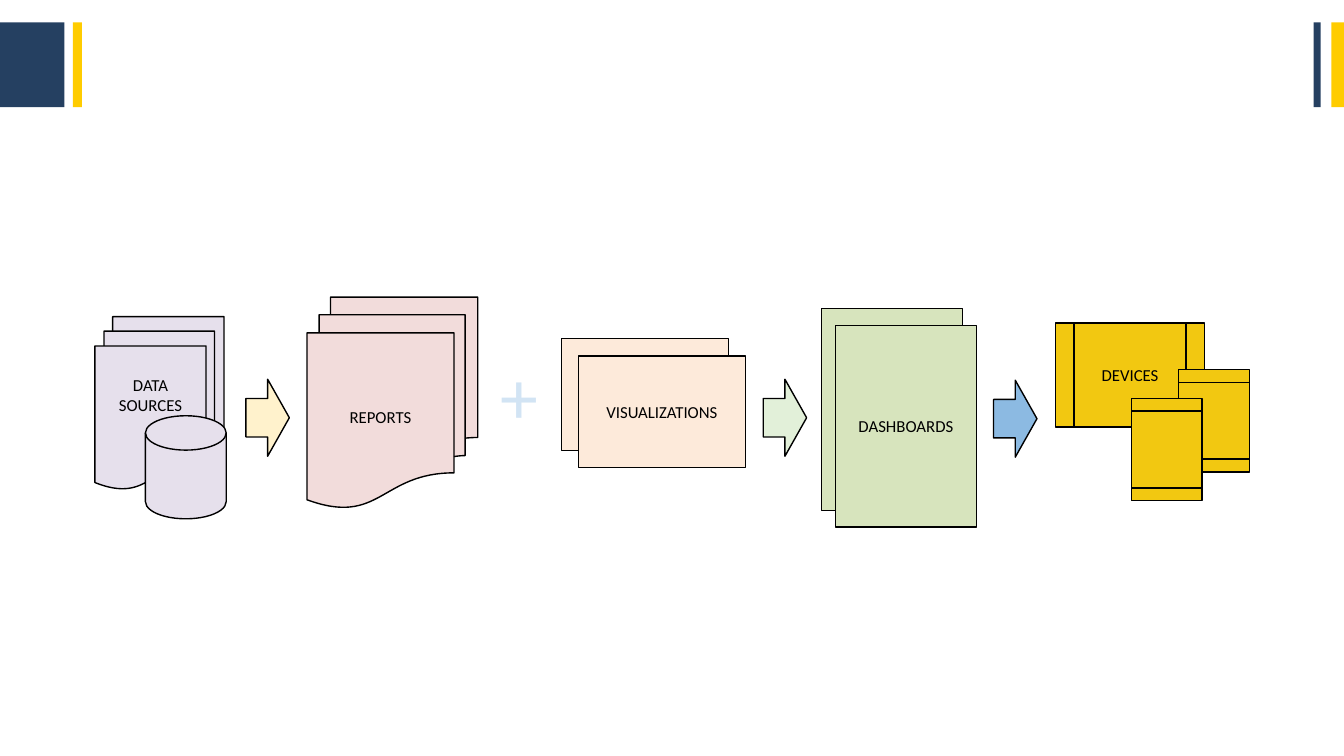
from pptx import Presentation
from pptx.dml.color import RGBColor as Rgb
from pptx.enum.shapes import MSO_SHAPE as Kind
from pptx.enum.text import MSO_ANCHOR as Anchor, MSO_AUTO_SIZE as Fit, PP_ALIGN as Align
from pptx.util import Pt

COLORS = {
    "navy": "254061", "yellow": "FFCC00", "black": "000000", "white": "FFFFFF",
    "lilac": "E6E0EC", "rose": "F2DCDB", "peach": "FDEADA", "lime": "D7E4BD",
    "gold": "F2C811", "blue": "8CBAE2", "cream": "FFF2CC", "mint": "E2F0D9",
    "sky": "D2E4F4",
}
SIZE = (960, 540)
BARS = [
    (0, 46, "navy"),
    (52, 6.5, "yellow"),
    (951, 9, "yellow"),
    (938.4, 5, "navy"),
]
BAR_TOP, BAR_TALL = 16, 60.6

DOCS, DISK = Kind.FLOWCHART_MULTIDOCUMENT, Kind.FLOWCHART_MAGNETIC_DISK
RECT, PANEL = Kind.RECTANGLE, Kind.FLOWCHART_PREDEFINED_PROCESS
SOURCES = [
    (DOCS, (67.8, 226.2, 92.2, 123.2), "lilac", "DATA SOURCES"),
    (DISK, (103.9, 297, 57.7, 73.6), "lilac", ""),
]
REPORTS = (DOCS, (219.3, 212.2, 122, 150.5), "rose", "REPORTS")
PAIRS = [
    ((400.9, 242, 119.5, 79.8), (12.2, 12.2), "peach", "VISUALIZATIONS"),
    ((587, 220.5, 100.7, 144.2), (9.8, 11.8), "lime", "DASHBOARDS"),
]
DEVICES = (PANEL, (753.8, 230.7, 106.8, 74.2), "gold", "DEVICES")
PHONES = [(867.2, 300.5), (833.4, 321.1)]
PHONE = (73.2, 50.6)
ARROWS = [(175.7, 270.9, "cream"), (545.2, 270.9, "mint"), (709.7, 271.6, "blue")]
ARROW = (31, 55)
PLUS = (344.9, 245.5, 51.8, 72.7)

deck = Presentation()
deck.slide_width, deck.slide_height = map(Pt, SIZE)
slide = deck.slides.add_slide(deck.slide_layouts[6])


def paint(name):
    return Rgb.from_string(COLORS[name])


def write(shape, text, size=12, color="black", anchor=Anchor.MIDDLE, wrap=True):
    frame = shape.text_frame
    frame.word_wrap = wrap
    frame.vertical_anchor = anchor
    para = frame.paragraphs[0]
    para.alignment = Align.CENTER
    run = para.add_run()
    run.text = text
    run.font.name = "Calibri"
    run.font.size = Pt(size)
    run.font.color.rgb = paint(color)


def draw(home, kind, box, fill, text="", edge=True, turn=0):
    shape = home.add_shape(kind, *map(Pt, box))
    shape.shadow.inherit = False
    shape.rotation = turn
    shape.fill.solid()
    shape.fill.fore_color.rgb = paint(fill)
    if edge:
        shape.line.color.rgb = paint("black")
        shape.line.width = Pt(1)
    else:
        shape.line.fill.background()
    if text:
        write(shape, text)
    return shape


def group():
    return slide.shapes.add_group_shape().shapes


for left, wide, fill in BARS:
    draw(slide.shapes, RECT, (left, BAR_TOP, wide, BAR_TALL), fill, edge=False)

home = group()
papers, disk = [draw(home, *part) for part in SOURCES]
papers.text_frame.margin_bottom = Pt(31)

draw(slide.shapes, *REPORTS)

for (left, top, wide, tall), (right, down), fill, text in PAIRS:
    home = group()
    draw(home, RECT, (left, top, wide, tall), fill)
    draw(home, RECT, (left + right, top + down, wide, tall), fill, text)

home = group()
draw(home, *DEVICES)
for mid, center in PHONES:
    wide, tall = PHONE
    draw(home, PANEL, (mid - wide / 2, center - tall / 2, wide, tall), "gold", turn=90)

for left, top, fill in ARROWS:
    draw(slide.shapes, Kind.RIGHT_ARROW, (left, top, *ARROW), fill)

plus = slide.shapes.add_textbox(*map(Pt, PLUS))
plus.fill.solid()
plus.fill.fore_color.rgb = paint("white")
write(plus, "+", size=54, color="sky", anchor=Anchor.TOP, wrap=False)
plus.text_frame.auto_size = Fit.SHAPE_TO_FIT_TEXT

deck.save("out.pptx")
